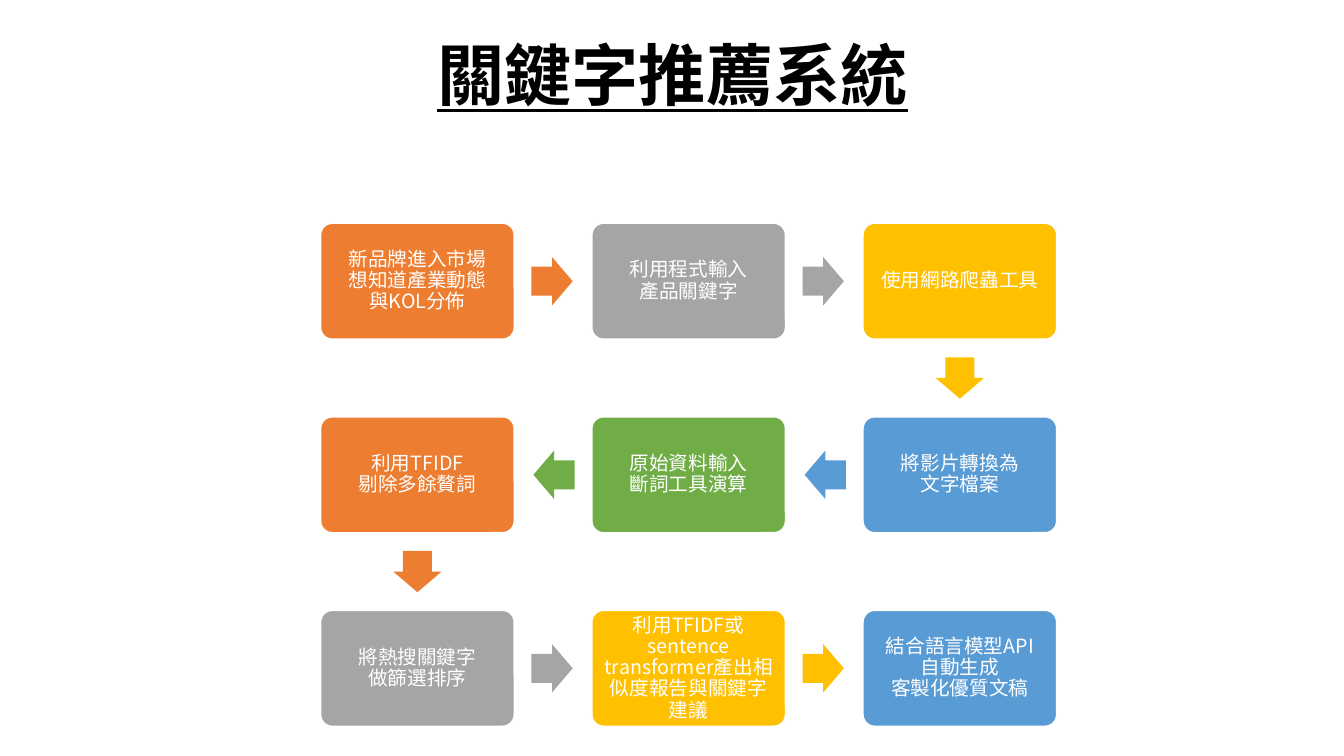
from copy import deepcopy

from pptx import Presentation
from pptx import util as u
from pptx.dml.color import RGBColor
from pptx.enum import shapes, text
from pptx.oxml.ns import qn

THEME = {
    "font": "Noto Sans CJK TC",
    "title": {"size": 48, "color": "000000"},
    "step": {"size": 14, "color": "FFFFFF"},
    "cycle": ["ED7D31", "A5A5A5", "FFC000", "599BD5", "70AD47"],
    "edge": "FFFFFF",
}

# Grid: centre of the first box, pitch between centres, box and arrow sizes
COLS = 3
X0, Y0 = 4.14, 2.79
PITCH_X, PITCH_Y = 2.69, 1.92
BOX_W, BOX_H = 1.92, 1.15
ARROW_W, ARROW_H = 0.41, 0.48
ARROW_SHIFT = 0.01

STEPS = [
    "新品牌進入市場\n想知道產業動態\n與KOL分佈",
    "利用程式輸入\n產品關鍵字",
    "使用網路爬蟲工具",
    "將影片轉換為\n文字檔案",
    "原始資料輸入\n斷詞工具演算",
    "利用TFIDF\n剔除多餘贅詞",
    "將熱搜關鍵字\n做篩選排序",
    "利用TFIDF或sentence transformer產出相似度報告與關鍵字建議",
    "結合語言模型API\n自動生成\n客製化優質文稿",
]


def write(sp, words, style, inset_x, inset_y, **extra):
    tf = sp.text_frame
    frame = {"word_wrap": True, "margin_left": inset_x, "margin_right": inset_x,
             "margin_top": inset_y, "margin_bottom": inset_y}
    for name, value in frame.items():
        setattr(tf, name, u.Inches(value) if name.startswith("margin") else value)
    p = tf.paragraphs[0]
    p.text = words
    p.alignment = text.PP_ALIGN.CENTER
    for r in p.runs:
        for name, value in {"name": THEME["font"], "size": u.Pt(style["size"]), **extra}.items():
            setattr(r.font, name, value)
        r.font.color.rgb = RGBColor.from_string(style["color"])
        ea = r.font._element.makeelement(qn("a:ea"), {"typeface": THEME["font"]})
        r.font._element.find(qn("a:latin")).addnext(ea)
    # Line breaks take the size of the text around them
    for br in p._p.findall(qn("a:br")):
        br.append(deepcopy(p.runs[0].font._element))
    return tf, p


def add_block(kind, cx, cy, w, h, color, adjustments):
    sp = s.shapes.add_shape(kind, *(u.Inches(v) for v in (cx - w / 2, cy - h / 2, w, h)))
    sp.shadow.inherit = False
    sp.fill.solid()
    sp.fill.fore_color.rgb = RGBColor.from_string(color)
    sp.line.fill.background()
    for i, value in enumerate(adjustments):
        sp.adjustments[i] = value
    return sp


prs = Presentation()
prs.slide_width, prs.slide_height = u.Inches(13.33), u.Inches(7.5)
s = prs.slides.add_slide(prs.slide_layouts[6])

# Title
title = s.shapes.add_textbox(*(u.Inches(v) for v in (3.19, 0.28, 6.96, 0.9)))
write(title, "關鍵字推薦系統", THEME["title"], 0.1, 0.05, bold=True, underline=True)

# Box centres, row by row, turning back at each row end
centres = []
for i in range(len(STEPS)):
    row, col = divmod(i, COLS)
    if row % 2:
        col = COLS - 1 - col
    centres.append((X0 + col * PITCH_X, Y0 + row * PITCH_Y))

# Steps, each with an arrow to the next
for i, (words, (x, y)) in enumerate(zip(STEPS, centres)):
    color = THEME["cycle"][i % len(THEME["cycle"])]
    box = add_block(shapes.MSO_SHAPE.ROUNDED_RECTANGLE, x, y, BOX_W, BOX_H, color, [0.1])
    box.line.color.rgb = RGBColor.from_string(THEME["edge"])
    box.line.width = u.Pt(1)
    tf, p = write(box, words, THEME["step"], 0.06, 0.06)
    tf.vertical_anchor = text.MSO_ANCHOR.MIDDLE
    p.line_spacing = 0.9

    if i + 1 < len(STEPS):
        next_x, next_y = centres[i + 1]
        if next_y > y:
            turn, shift = 90, 0
        elif next_x > x:
            turn, shift = 0, -ARROW_SHIFT
        else:
            turn, shift = 180, ARROW_SHIFT
        arrow = add_block(shapes.MSO_SHAPE.RIGHT_ARROW, (x + next_x) / 2 + shift,
                          (y + next_y) / 2, ARROW_W, ARROW_H, color, [0.6, 0.5])
        arrow.rotation = turn

prs.save("out.pptx")
